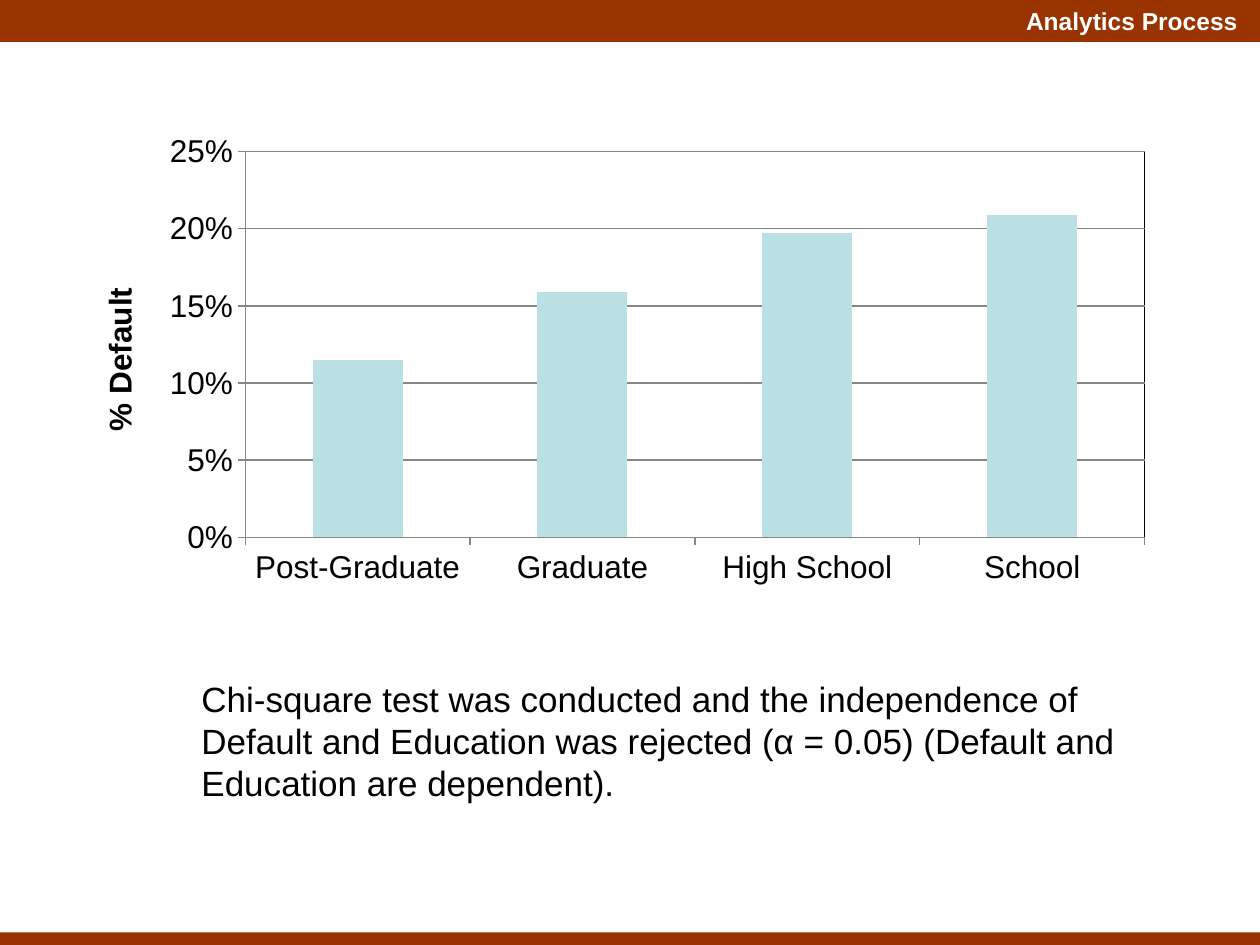
from lxml.etree import SubElement
from pptx import Presentation
from pptx.chart.data import CategoryChartData
from pptx.dml.color import RGBColor
from pptx.enum.chart import XL_CHART_TYPE, XL_TICK_MARK
from pptx.enum.shapes import MSO_SHAPE
from pptx.enum.text import MSO_ANCHOR, PP_ALIGN
from pptx.oxml import parse_xml
from pptx.oxml.ns import qn
from pptx.util import Pt

WIDTH, HEIGHT = 720, 540
RUST, AQUA, GREY, BLACK, WHITE = "993300", "BBE0E3", "868686", "000000", "FFFFFF"

HEADER = "Analytics Process"
AXIS_TITLE = "% Default"
DEFAULT_RATES = {
    "Post-Graduate": 0.115,
    "Graduate": 0.159,
    "High School": 0.197,
    "School": 0.209,
}
FINDING = (
    "Chi-square test was conducted and the independence of Default and Education "
    "was rejected (α = 0.05) (Default and Education are dependent)."
)
BANDS = [(0, 0, WIDTH, 24), (0, 532.8, WIDTH, 7.2)]
TEXTS = [
    (HEADER, (413.3, 0, 301, 24), PP_ALIGN.RIGHT, MSO_ANCHOR.MIDDLE,
     {"size": Pt(14), "bold": True}, WHITE),
    (FINDING, (108, 383.8, 545.8, 54), PP_ALIGN.LEFT, MSO_ANCHOR.TOP,
     {"size": Pt(20)}, BLACK),
]
CHART_PLACE = (39.6, 72, 632.2, 293.8)
PLOT_LAYOUT = {"x": 0.159, "y": 0.05, "w": 0.813, "h": 0.75}


def color(value):
    return RGBColor.from_string(value)


def points(place):
    return [Pt(length) for length in place]


def set_font(font, formats, value):
    for name, setting in {"name": "Arial", **formats}.items():
        setattr(font, name, setting)
    font.color.rgb = color(value)


def add_band(page, place):
    band = page.shapes.add_shape(MSO_SHAPE.RECTANGLE, *points(place))
    band.shadow.inherit = False
    band.fill.solid()
    band.fill.fore_color.rgb = color(RUST)
    band.line.fill.background()


def add_text(page, text, place, align, anchor, formats, value):
    frame = page.shapes.add_textbox(*points(place)).text_frame
    frame.word_wrap = True
    frame.vertical_anchor = anchor
    para = frame.paragraphs[0]
    para.alignment = align
    span = para.add_run()
    span.text = text
    set_font(span.font, formats, value)


def frame_plot(chart):
    """Fix the inner plot area in place and give it a thin black border."""
    plot_area = chart._chartSpace.chart.plotArea
    for old in plot_area.findall(qn("c:layout")):
        plot_area.remove(old)
    layout = plot_area.makeelement(qn("c:layout"))
    plot_area.insert(0, layout)
    manual = SubElement(layout, qn("c:manualLayout"))
    settings = {"layoutTarget": "inner", "xMode": "edge", "yMode": "edge", **PLOT_LAYOUT}
    for name, setting in settings.items():
        SubElement(manual, qn(f"c:{name}")).set("val", str(setting))
    plot_area.append(parse_xml(
        '<c:spPr xmlns:c="http://schemas.openxmlformats.org/drawingml/2006/chart" '
        'xmlns:a="http://schemas.openxmlformats.org/drawingml/2006/main"><a:noFill/>'
        f'<a:ln w="9525"><a:solidFill><a:srgbClr val="{BLACK}"/></a:solidFill></a:ln></c:spPr>'
    ))


def add_default_chart(page):
    data = CategoryChartData(number_format="0.0%")
    data.categories = list(DEFAULT_RATES)
    data.add_series("Series 1", list(DEFAULT_RATES.values()))
    chart = page.shapes.add_chart(
        XL_CHART_TYPE.COLUMN_CLUSTERED, *points(CHART_PLACE), data).chart
    chart.has_legend = False
    chart.has_title = False
    set_font(chart.font, {"size": Pt(18)}, BLACK)

    plot = chart.plots[0]
    plot.gap_width = 150
    plot.vary_by_categories = False
    fill = plot.series[0].format.fill
    fill.solid()
    fill.fore_color.rgb = color(AQUA)

    rates = chart.value_axis
    rates.minimum_scale, rates.maximum_scale, rates.major_unit = 0, 0.25, 0.05
    rates.tick_labels.number_format = "0%"
    rates.tick_labels.number_format_is_linked = False
    rates.has_major_gridlines = True
    title = rates.axis_title.text_frame
    title.text = AXIS_TITLE
    set_font(title.paragraphs[0].runs[0].font, {"size": Pt(18), "bold": True}, BLACK)

    for axis in (chart.category_axis, rates):
        axis.major_tick_mark = XL_TICK_MARK.OUTSIDE
        axis.minor_tick_mark = XL_TICK_MARK.NONE
    for part in (chart.category_axis, rates, rates.major_gridlines):
        part.format.line.width = Pt(0.75)
        part.format.line.color.rgb = color(GREY)
    frame_plot(chart)


def main():
    deck = Presentation()
    deck.slide_width, deck.slide_height = Pt(WIDTH), Pt(HEIGHT)
    page = deck.slides.add_slide(deck.slide_layouts[6])
    for place in BANDS:
        add_band(page, place)
    add_default_chart(page)
    for text in TEXTS:
        add_text(page, *text)
    deck.save("out.pptx")


if __name__ == "__main__":
    main()
